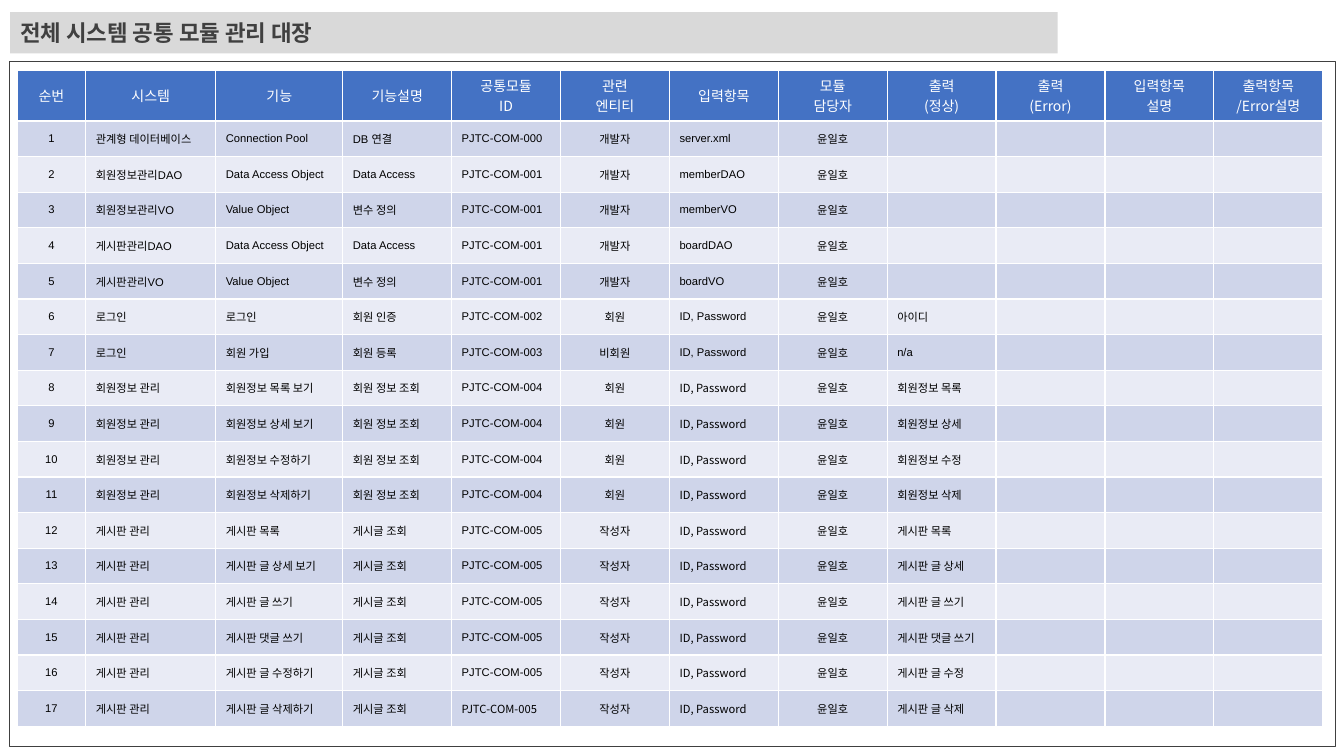
from dataclasses import dataclass

import lxml.etree
import pptx
import pptx.dml.color
import pptx.enum.shapes
import pptx.enum.text
import pptx.oxml.ns
import pptx.util

Inches = pptx.util.Inches
Pt = pptx.util.Pt
qn = pptx.oxml.ns.qn
ALIGN = pptx.enum.text.PP_ALIGN
MIDDLE = pptx.enum.text.MSO_ANCHOR.MIDDLE


@dataclass(frozen=True)
class Theme:
    dark: str = "404040"
    title_band: str = "D9D9D9"
    header: str = "4472C4"
    odd_row: str = "CFD5EA"
    even_row: str = "E9EBF5"
    white: str = "FFFFFF"
    black: str = "000000"
    latin: str = "Arial"
    korean: str = "Noto Sans CJK KR"
    title_size: int = 16
    header_size: int = 10
    body_size: int = 8


THEME = Theme()

HEADERS = ["순번", "시스템", "기능", "기능설명", "공통모듈\nID", "관련\n엔티티",
           "입력항목", "모듈\n담당자", "출력\n(정상)", "출력\n(Error)",
           "입력항목\n설명", "출력항목\n/Error설명"]
COL_WIDTHS = [0.68, 1.29, 1.26] + [1.08] * 9
HEADER_HEIGHT = 0.5
CENTERED = {0, 5, 7}
OWNER = "윤일호"
LOGIN = "ID, Password"
# Column -> first row number set in the Korean font
KOREAN_FROM = {1: 17, 2: 17, 3: 13, 4: 17, 5: 17, 6: 8, 7: 2, 8: 17}

# system, function, description, module number, entity, input, normal output
MODULES = [
    ("관계형 데이터베이스", "Connection Pool", "DB 연결", 0, "개발자", "server.xml", ""),
    ("회원정보관리DAO", "Data Access Object", "Data Access", 1, "개발자", "memberDAO", ""),
    ("회원정보관리VO", "Value Object", "변수 정의", 1, "개발자", "memberVO", ""),
    ("게시판관리DAO", "Data Access Object", "Data Access", 1, "개발자", "boardDAO", ""),
    ("게시판관리VO", "Value Object", "변수 정의", 1, "개발자", "boardVO", ""),
    ("로그인", "로그인", "회원 인증", 2, "회원", LOGIN, "아이디"),
    ("로그인", "회원 가입", "회원 등록", 3, "비회원", LOGIN, "n/a"),
]
MODULES += [("회원정보 관리", f"회원정보 {function}", "회원 정보 조회", 4, "회원", LOGIN,
             f"회원정보 {output}")
            for function, output in [("목록 보기", "목록"), ("상세 보기", "상세"),
                                     ("수정하기", "수정"), ("삭제하기", "삭제")]]
MODULES += [("게시판 관리", f"게시판 {function}", "게시글 조회", 5, "작성자", LOGIN,
             f"게시판 {output}")
            for function, output in [("목록", "목록"), ("글 상세 보기", "글 상세"),
                                     ("글 쓰기", "글 쓰기"), ("댓글 쓰기", "댓글 쓰기"),
                                     ("글 수정하기", "글 수정"), ("글 삭제하기", "글 삭제")]]


def rgb(color):
    return pptx.dml.color.RGBColor.from_string(color)


def write(tf, text, *, size, color, font=THEME.korean, bold=False, align=ALIGN.LEFT):
    """Write one paragraph per line of text; empty lines keep the type size."""
    for i, line in enumerate(text.split("\n")):
        p = tf.paragraphs[0] if i == 0 else tf.add_paragraph()
        p.alignment = align
        if not line:
            lxml.etree.SubElement(p._p, qn("a:endParaRPr"), sz=str(size * 100))
            continue
        r = p.add_run()
        r.text = line
        r.font.size = Pt(size)
        r.font.bold = bold
        r.font.name = font
        r.font.color.rgb = rgb(color)
        east_asian = lxml.etree.SubElement(r.font._element, qn("a:ea"))
        east_asian.set("typeface", THEME.korean)


def add_rect(slide, box, fill=None, line=None):
    sp = slide.shapes.add_shape(pptx.enum.shapes.MSO_SHAPE.RECTANGLE, *map(Inches, box))
    sp.shadow.inherit = False
    if fill:
        sp.fill.solid()
        sp.fill.fore_color.rgb = rgb(fill)
    else:
        sp.fill.background()
    if line:
        sp.line.color.rgb = rgb(line)
        sp.line.width = Pt(0.5)
    else:
        sp.line.fill.background()
    return sp


def style_cell(cell, fill):
    """Fill the cell and give it thin white borders."""
    cell.vertical_anchor = MIDDLE
    cell.fill.solid()
    cell.fill.fore_color.rgb = rgb(fill)
    tc_pr = cell._tc.get_or_add_tcPr()
    for i, side in enumerate(("lnL", "lnR", "lnT", "lnB")):
        border = lxml.etree.Element(qn(f"a:{side}"), w=str(Pt(1)))
        solid = lxml.etree.SubElement(border, qn("a:solidFill"))
        lxml.etree.SubElement(solid, qn("a:srgbClr"), val=THEME.white)
        tc_pr.insert(i, border)


def add_title(slide, box):
    tf = add_rect(slide, box, fill=THEME.title_band).text_frame
    tf.word_wrap = True
    tf.vertical_anchor = MIDDLE
    write(tf, "전체 시스템 공통 모듈 관리 대장", size=THEME.title_size,
          color=THEME.dark, bold=True)


def module_cells(number, module):
    system, function, description, code, entity, inputs, output = module
    return [str(number), system, function, description, f"PJTC-COM-{code:03}",
            entity, inputs, OWNER, output, "", "", ""]


def add_module_table(slide, box):
    left, top, width, height = box
    frame = slide.shapes.add_table(len(MODULES) + 1, len(HEADERS), *map(Inches, box))
    table = frame.table
    for col, col_width in zip(table.columns, COL_WIDTHS):
        col.width = Inches(col_width)
    row_height = (height - HEADER_HEIGHT) / len(MODULES)
    for i, row in enumerate(table.rows):
        row.height = Inches(row_height if i else HEADER_HEIGHT)

    for col, text in enumerate(HEADERS):
        cell = table.cell(0, col)
        style_cell(cell, THEME.header)
        write(cell.text_frame, text, size=THEME.header_size, color=THEME.white,
              align=ALIGN.CENTER)

    for number, module in enumerate(MODULES, 1):
        fill = THEME.odd_row if number % 2 else THEME.even_row
        for col, text in enumerate(module_cells(number, module)):
            cell = table.cell(number, col)
            style_cell(cell, fill)
            is_korean = number >= KOREAN_FROM.get(col, len(MODULES) + 1)
            write(cell.text_frame, text, size=THEME.body_size, color=THEME.black,
                  font=THEME.korean if is_korean else THEME.latin,
                  align=ALIGN.CENTER if col in CENTERED else ALIGN.LEFT)


def main():
    prs = pptx.Presentation()
    prs.slide_width, prs.slide_height = Inches(13.33), Inches(7.5)
    slide = prs.slides.add_slide(prs.slide_layouts[6])
    add_rect(slide, (0.09, 0.61, 13.15, 6.79), line=THEME.dark)
    add_title(slide, (0.1, 0.12, 10.39, 0.41))
    add_module_table(slide, (0.17, 0.7, sum(COL_WIDTHS), 6.51))
    prs.save("out.pptx")


if __name__ == "__main__":
    main()
